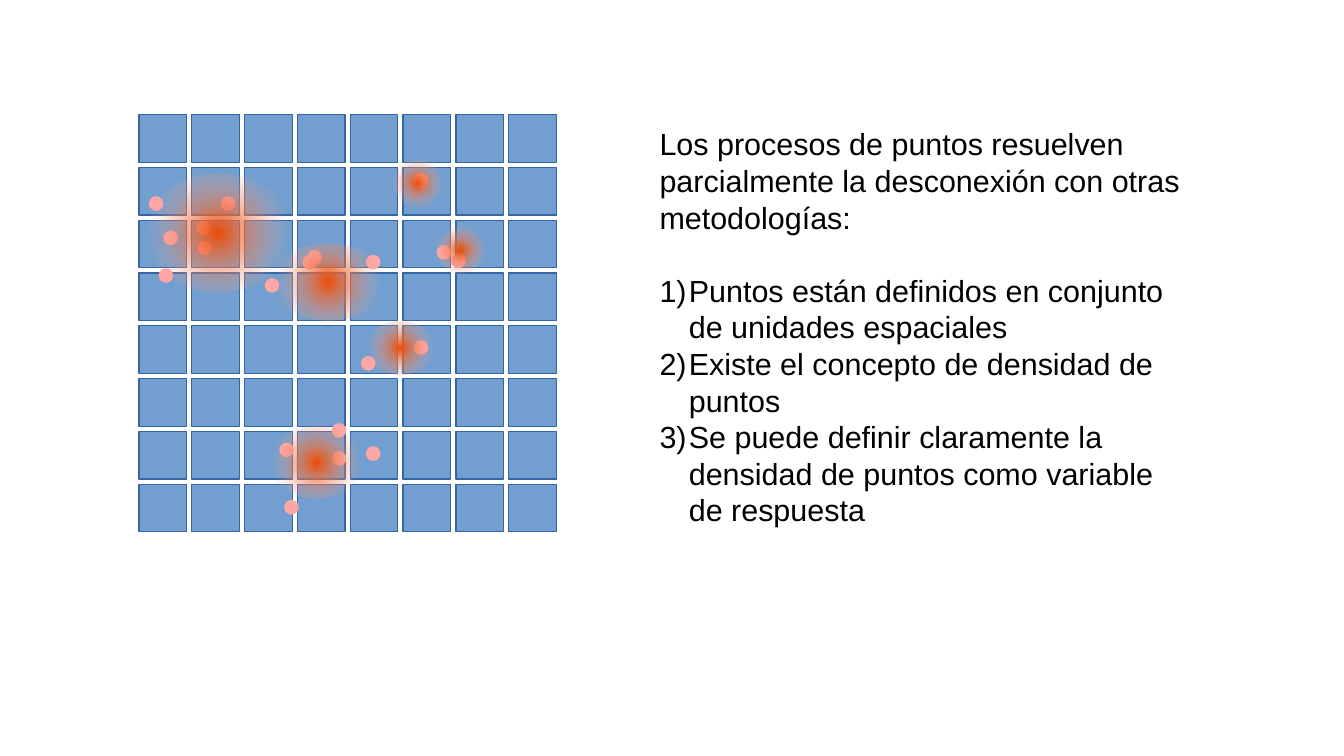
import pptx
import pptx.dml.color
import pptx.enum.shapes
import pptx.enum.text
import pptx.oxml
import pptx.oxml.ns
import pptx.util
from dataclasses import dataclass
from pptx.util import Inches

SHAPE = pptx.enum.shapes.MSO_SHAPE


@dataclass(frozen=True)
class Theme:
    cell: str = "729FCF"
    cell_line: str = "3465A4"
    point: str = "FFA6A6"
    # Density stops: position %, colour, opacity %
    density: tuple = ((0, "ED4C05", 100), (75, "F4AFA0", 0), (100, "F7D1D5", 0))
    text: str = "000000"
    font: str = "Arial"
    size: int = 18
    line_pitch: float = 21.6


THEME = Theme()
GRID_COUNT, CELL, PITCH, DOT = 8, 0.39, 0.433, 0.12

# Left and top of each point, from the corner of the map
POINTS = [
    (0.08, 0.67), (0.47, 0.87), (0.67, 0.67), (0.48, 1.03), (1.03, 1.34),
    (1.34, 1.15), (1.38, 1.11), (1.86, 1.15), (1.86, 2.72), (1.58, 2.76),
    (1.58, 2.53), (1.82, 1.98), (1.19, 3.16), (1.15, 2.69), (0.2, 0.95),
    (0.16, 1.26), (2.25, 0.48), (2.56, 1.14), (2.44, 1.07), (2.25, 1.85),
]
# Left, top, width and height of each density zone, from the same corner
ZONES = [
    (1.06, 2.56, 0.79, 0.59), (1.85, 1.7, 0.59, 0.43), (0.04, 0.48, 1.22, 0.98),
    (1.06, 1.06, 0.98, 0.63), (2.44, 0.91, 0.39, 0.4), (2.09, 0.36, 0.39, 0.4),
]

INTRO = "Los procesos de puntos resuelven parcialmente la desconexión con otras metodologías:"
ITEMS = [
    "Puntos están definidos en conjunto de unidades espaciales",
    "Existe el concepto de densidad de puntos",
    "Se puede definir claramente la densidad de puntos como variable de respuesta",
]


def rgb(value):
    return pptx.dml.color.RGBColor.from_string(value)


def add_plain(shapes, kind, x, y, w, h, fill=None, line=None):
    sp = shapes.add_shape(kind, Inches(x), Inches(y), Inches(w), Inches(h))
    sp.shadow.inherit = False
    if fill:
        sp.fill.solid()
        sp.fill.fore_color.rgb = rgb(fill)
    if line:
        sp.line.color.rgb = rgb(line)
        sp.line.width = 0
    else:
        sp.line.fill.background()
    return sp


def fill_density(sp):
    """Radial gradient that fades out towards the edge."""
    stops = "".join(
        f'<a:gs pos="{pos * 1000}"><a:srgbClr val="{color}">'
        f'<a:alpha val="{alpha * 1000}"/></a:srgbClr></a:gs>'
        for pos, color, alpha in THEME.density)
    grad = pptx.oxml.parse_xml(
        f'<a:gradFill {pptx.oxml.ns.nsdecls("a")} rotWithShape="1"><a:gsLst>{stops}</a:gsLst>'
        '<a:path path="circle"><a:fillToRect l="50000" t="50000" r="50000" b="50000"/>'
        '</a:path></a:gradFill>')
    sp._element.spPr.find(pptx.oxml.ns.qn("a:prstGeom")).addnext(grad)


def add_point_map(s, left, top):
    group = s.shapes.add_group_shape()
    # Spatial units
    for row in range(GRID_COUNT):
        for col in range(GRID_COUNT):
            add_plain(group.shapes, SHAPE.FLOWCHART_PROCESS, left + col * PITCH,
                      top + row * PITCH, CELL, CELL, THEME.cell, THEME.cell_line)
    # Points
    for x, y in POINTS:
        add_plain(group.shapes, SHAPE.OVAL, left + x, top + y, DOT, DOT, THEME.point)
    # Density zones
    for x, y, w, h in ZONES:
        fill_density(add_plain(s.shapes, SHAPE.OVAL, left + x, top + y, w, h))


def add_text_run(p, text):
    r = p.add_run()
    r.text = text
    r.font.name = THEME.font
    r.font.size = pptx.util.Pt(THEME.size)
    r.font.color.rgb = rgb(THEME.text)


def number_paragraph(p):
    pPr = p._p.get_or_add_pPr()
    pPr.set("marL", str(Inches(0.24)))
    pPr.set("indent", str(-Inches(0.24)))
    ns = pptx.oxml.ns.nsdecls("a")
    pPr.append(pptx.oxml.parse_xml(
        f'<a:buClr {ns}><a:srgbClr val="{THEME.text}"/></a:buClr>'))
    pPr.append(pptx.oxml.parse_xml(f'<a:buAutoNum {ns} type="arabicParenR"/>'))


def add_explanation(s, left, top, width, height):
    box = s.shapes.add_textbox(Inches(left), Inches(top), Inches(width), Inches(height))
    tf = box.text_frame
    tf.word_wrap = True
    tf.auto_size = pptx.enum.text.MSO_AUTO_SIZE.SHAPE_TO_FIT_TEXT
    # Introduction, followed by one line of space
    p = tf.paragraphs[0]
    p.space_after = pptx.util.Pt(THEME.line_pitch)
    add_text_run(p, INTRO)
    # Numbered list
    for item in ITEMS:
        p = tf.add_paragraph()
        number_paragraph(p)
        add_text_run(p, item)


def main():
    prs = pptx.Presentation()
    prs.slide_width, prs.slide_height = Inches(11.02), Inches(6.2)
    s = prs.slides.add_slide(prs.slide_layouts[6])
    add_point_map(s, 1.14, 0.94)
    add_explanation(s, 5.31, 0.98, 4.53, 3.18)
    prs.save("out.pptx")


if __name__ == "__main__":
    main()
